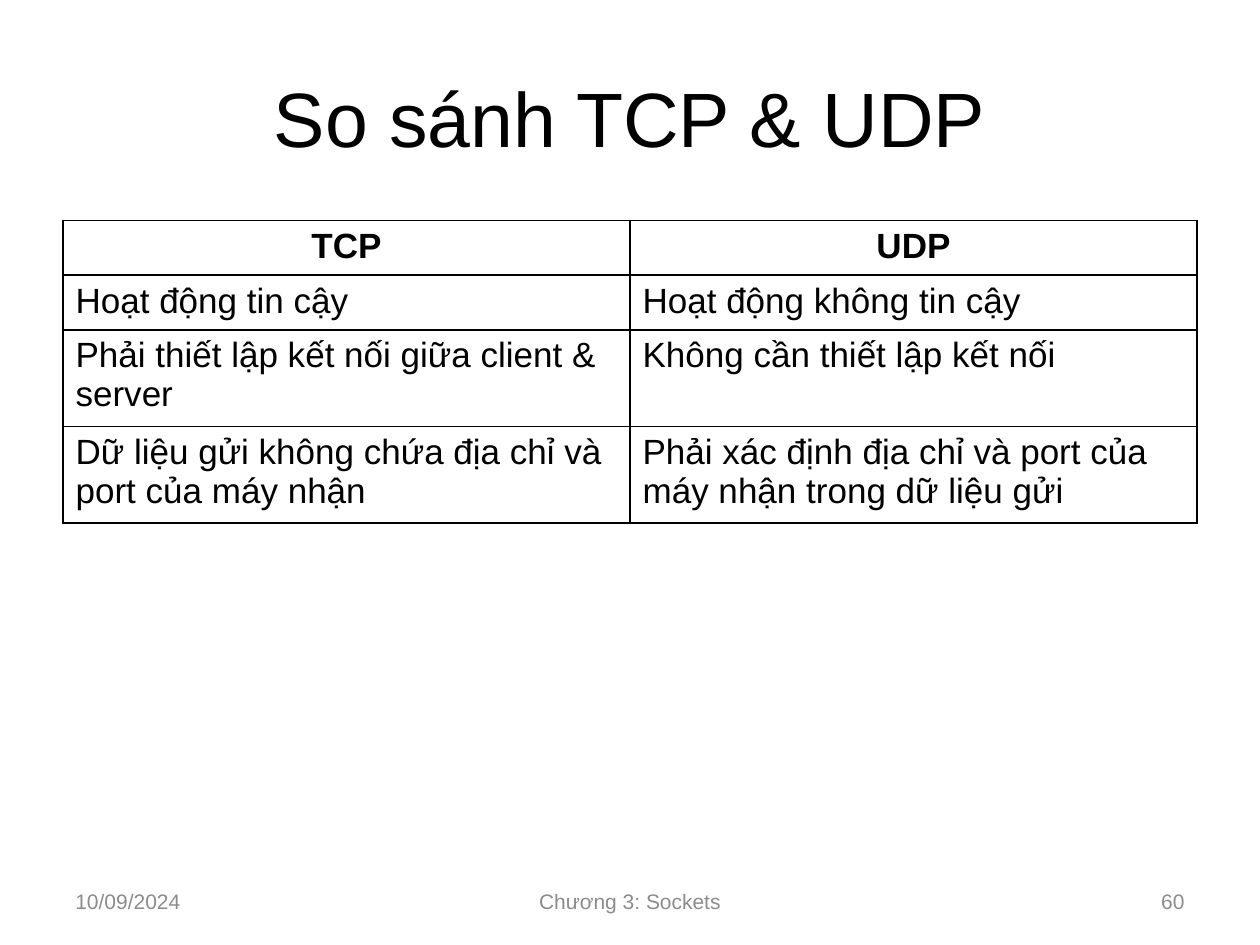
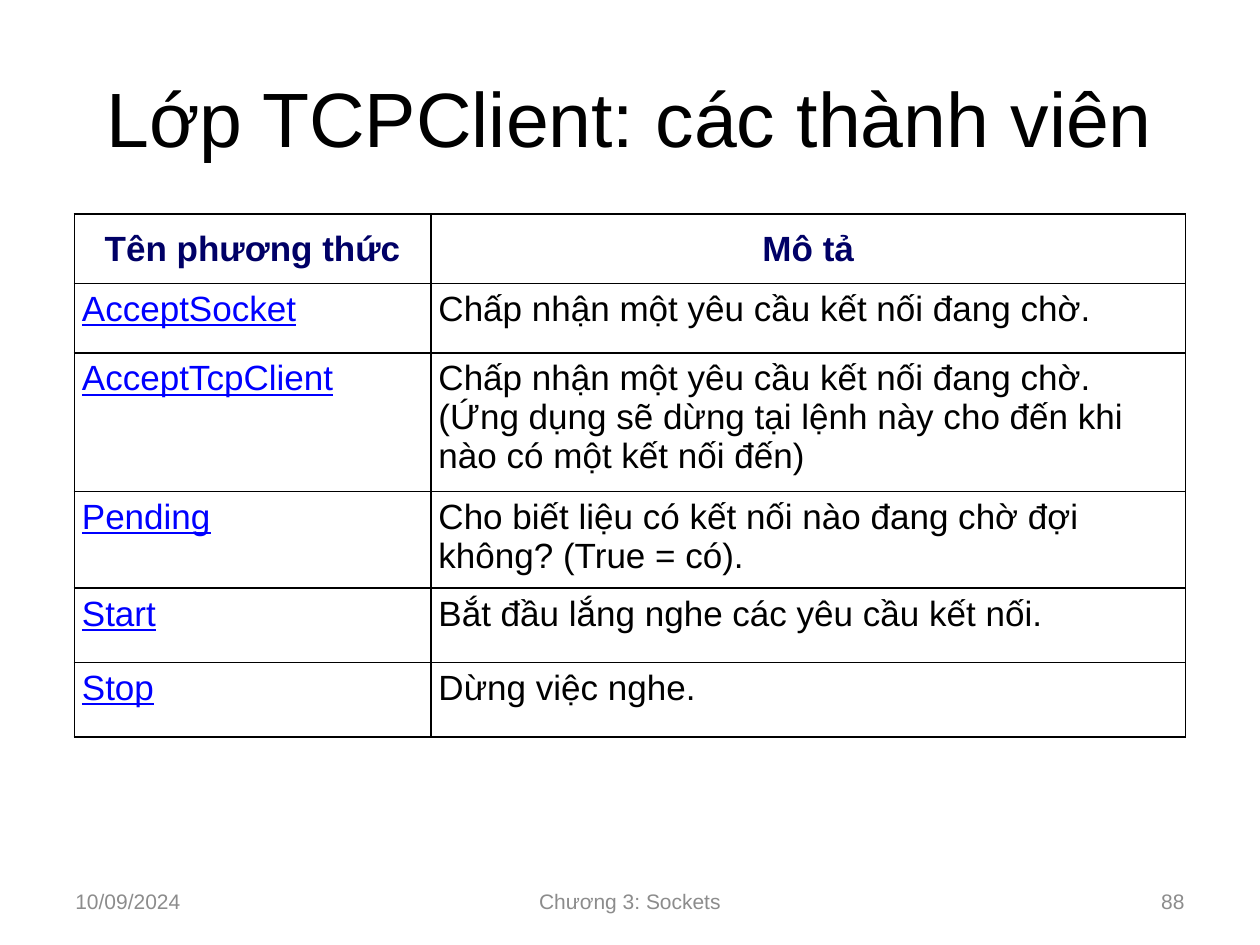
from lxml import etree
from pptx import Presentation
from pptx.dml.color import RGBColor
from pptx.enum.text import MSO_ANCHOR, MSO_AUTO_SIZE, PP_ALIGN
from pptx.oxml.ns import qn
from pptx.util import Inches, Pt

LEFT, MID, RIGHT = PP_ALIGN.LEFT, PP_ALIGN.CENTER, PP_ALIGN.RIGHT
TOP, CENTRE = MSO_ANCHOR.TOP, MSO_ANCHOR.MIDDLE
NO_FIT = MSO_AUTO_SIZE.NONE
WIDE, HIGH, EDGE = 10, 7.5, 0.5
FONT = "Arial"
BLACK, WHITE, GREY, NAVY, BLUE = "000000", "FFFFFF", "8C8C8C", "000066", "0000FF"

HEAD = dict(size=20, bold=True, align=MID)
BODY = dict(size=20)
LINK = dict(size=20, color=BLUE, underline=True)
PLAIN = dict(margins=(0.1, 0.05, 0.1, 0.05), anchor=TOP)
TIGHT = dict(margins=(0.06, 0.05, 0.05, 0.05), anchor=TOP)
FLAT = dict(margins=(0.07, 0, 0.07, 0), anchor=CENTRE)

MODES = [
    ("TCP", "UDP"),
    ("Hoạt động tin cậy", "Hoạt động không tin cậy"),
    ("Phải thiết lập kết nối giữa client & server", "Không cần thiết lập kết nối"),
    ("Dữ liệu gửi không chứa địa chỉ và port của máy nhận",
     "Phải xác định địa chỉ và port của máy nhận trong dữ liệu gửi"),
]
METHODS = [
    ("Tên phương thức", "Mô tả"),
    ("AcceptSocket", "Chấp nhận một yêu cầu kết nối đang chờ."),
    ("AcceptTcpClient", "Chấp nhận một yêu cầu kết nối đang chờ. "
     "(Ứng dụng sẽ dừng tại lệnh này cho đến khi nào có một kết nối đến)"),
    ("Pending", "Cho biết liệu có kết nối nào đang chờ đợi không? (True = có)."),
    ("Start", "Bắt đầu lắng nghe các yêu cầu kết nối."),
    ("Stop", "Dừng việc nghe."),
]


def paint(value):
    """Turn a hex string into a colour."""
    return RGBColor.from_string(value)


def write(frame, text, size, color=BLACK, align=LEFT, gap=0, **style):
    """Write one styled paragraph with equal space above and below."""
    para = frame.paragraphs[0]
    para.alignment = align
    para.space_before = para.space_after = Pt(gap)
    run = para.add_run()
    run.text = text
    font = run.font
    font.color.rgb = paint(color)
    for name, value in dict(dict(name=FONT, size=Pt(size), bold=False), **style).items():
        setattr(font, name, value)


def rule(cell):
    """Draw a thin black line on all sides of a cell."""
    props = cell._tc.get_or_add_tcPr()
    for side in "LRTB":
        line = etree.SubElement(props, qn("a:ln" + side), w=str(Pt(1)))
        fill = etree.SubElement(line, qn("a:solidFill"))
        etree.SubElement(fill, qn("a:srgbClr"), val=BLACK)


def fill_cell(cell, text, look, margins, anchor):
    """Format one table cell and write its text."""
    rule(cell)
    cell.fill.solid()
    cell.fill.fore_color.rgb = paint(WHITE)
    cell.vertical_anchor = anchor
    for side, value in zip(("left", "top", "right", "bottom"), margins):
        setattr(cell, "margin_" + side, Inches(value))
    write(cell.text_frame, text, **look)


def add_grid(slide, data, top, cols, rows, head, looks, boxes):
    """Add a centred table with a head row and one look per column."""
    wide = sum(cols)
    frame = slide.shapes.add_table(
        len(rows), len(cols), Inches((WIDE - wide) / 2), Inches(top),
        Inches(wide), Inches(sum(rows)))
    table = frame.table
    table.first_row = table.horz_banding = False
    for col, size in zip(table.columns, cols):
        col.width = Inches(size)
    for row, size in zip(table.rows, rows):
        row.height = Inches(size)
    for r, texts in enumerate(data):
        for c, text in enumerate(texts):
            fill_cell(table.cell(r, c), text, looks[c] if r else head, **boxes[r > 0])


def add_foot(slide, number):
    """Add the date, chapter and page number along the foot."""
    side, middle = 2.33, 3.17
    parts = [
        ("10/09/2024", EDGE, side, LEFT),
        ("Chương 3: Sockets", (WIDE - middle) / 2, middle, MID),
        (str(number), WIDE - EDGE - side, side, RIGHT),
    ]
    for text, left, width, align in parts:
        box = slide.shapes.add_textbox(
            Inches(left), Inches(6.95), Inches(width), Inches(0.4))
        frame = box.text_frame
        frame.word_wrap = True
        frame.vertical_anchor = CENTRE
        write(frame, text, 12, GREY, align)


def add_page(deck, title, number):
    """Add a slide with its title and foot."""
    slide = deck.slides.add_slide(deck.slide_layouts[5])
    head = slide.shapes.title
    place = dict(left=EDGE, top=0.3, width=WIDE - 2 * EDGE, height=1.25)
    for name, value in place.items():
        setattr(head, name, Inches(value))
    frame = head.text_frame
    frame.auto_size = NO_FIT
    frame.vertical_anchor = CENTRE
    write(frame, title, 44, align=MID)
    add_foot(slide, number)
    return slide


def main():
    """Build the deck and save it."""
    deck = Presentation()
    deck.slide_width, deck.slide_height = Inches(WIDE), Inches(HIGH)
    page = add_page(deck, "So sánh TCP & UDP", 60)
    add_grid(page, MODES, 1.75, [4.5] * 2, [0.41] * 2 + [0.72] * 2,
             HEAD, [BODY, BODY], [PLAIN, PLAIN])
    page = add_page(deck, "Lớp TCPClient: các thành viên", 88)
    add_grid(page, METHODS, 1.7, [2.83, 5.99], [0.55, 0.55, 1.03, 0.73, 0.59, 0.59],
             dict(HEAD, color=NAVY, gap=3.5),
             [dict(look, gap=0.8) for look in (LINK, BODY)], [FLAT, TIGHT])
    deck.save("out.pptx")


if __name__ == "__main__":
    main()
